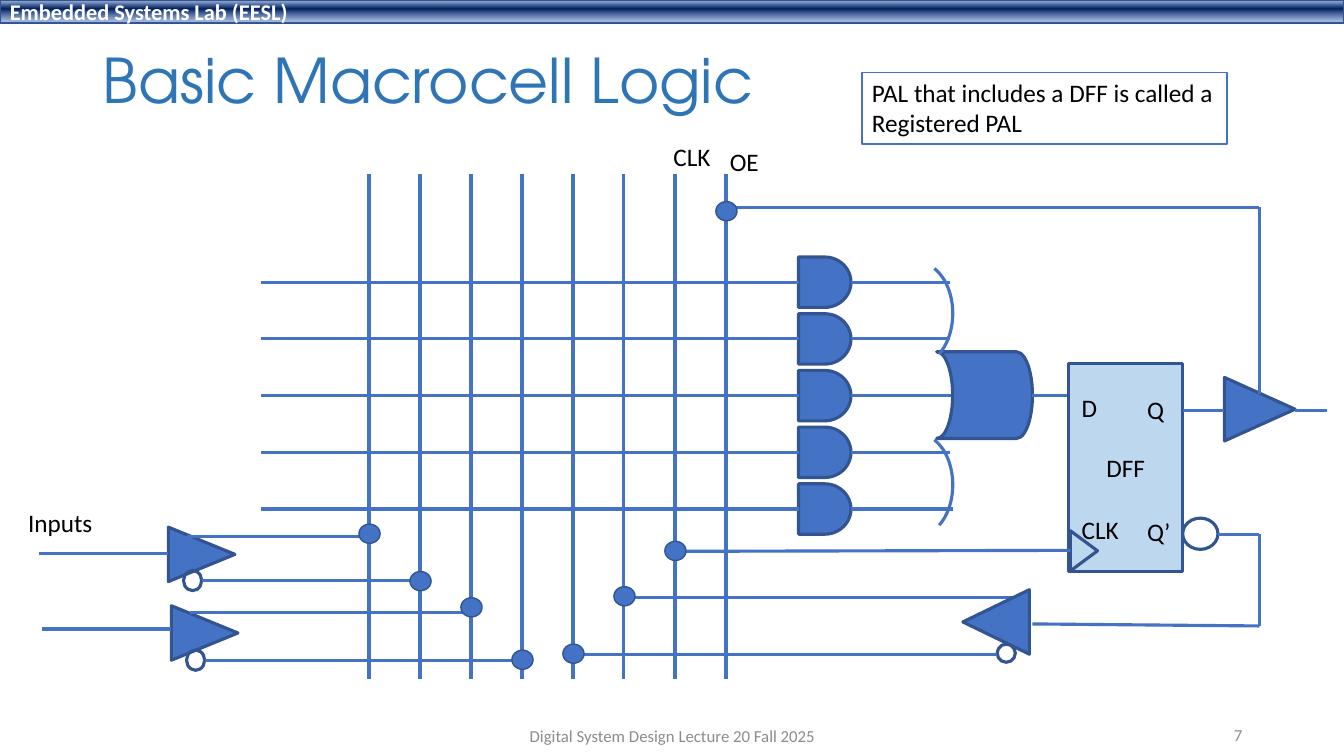
from copy import deepcopy

from lxml import etree
from pptx import Presentation
from pptx import util as u
from pptx.dml import color
from pptx.enum import shapes, text
from pptx.oxml import ns

COLORS = {
    "wire": "4472C4", "edge": "325491", "title": "2E75B6", "block": "BDD7EE",
    "white": "FFFFFF", "black": "000000", "grey": "8C8C8C",
    "bar_top": "ABC0E4", "bar_mid": "002060", "bar_end": "7E9ED6",
}
SHAPE = shapes.MSO_SHAPE
ALIGN = text.PP_ALIGN
ANCHOR = text.MSO_ANCHOR

BUS_X = [3.66 + i * 3.54 / 7 for i in range(8)]
TERM_Y = [2.8 + i * 2.25 / 4 for i in range(5)]
DOTS = [(0, 5.3), (1, 5.77), (2, 6.03), (3, 6.55),
        (4, 6.49), (5, 5.92), (6, 5.47), (7, 2.1)]


def rgb(name):
    return color.RGBColor.from_string(COLORS[name])


def write(shape, lines, size=18, ink="black", font="Calibri", bold=False,
          align=ALIGN.LEFT, anchor=ANCHOR.TOP, wrap=True, gap=0, spacing=1.0):
    frame = shape.text_frame
    frame_format = {"word_wrap": wrap, "vertical_anchor": anchor,
                    "auto_size": text.MSO_AUTO_SIZE.NONE}
    for name, value in frame_format.items():
        setattr(frame, name, value)
    for index, line in enumerate(lines):
        para = frame.add_paragraph() if index else frame.paragraphs[0]
        para_format = {"alignment": align, "line_spacing": spacing,
                       "space_before": u.Pt(gap if index else 0)}
        for name, value in para_format.items():
            setattr(para, name, value)
        span = para.add_run()
        span.text = line
        span_format = {"name": font, "size": u.Pt(size), "bold": bold}
        for name, value in span_format.items():
            setattr(span.font, name, value)
        span.font.color.rgb = rgb(ink)


def add_label(page, at, lines, **style):
    box = page.shapes.add_textbox(*map(u.Inches, at))
    write(box, lines, **style)


def add_part(page, kind, at, fill=None, line="edge", width=2.25, turn=0):
    part = page.shapes.add_shape(kind, *map(u.Inches, at))
    part.shadow.inherit = False
    part.rotation = turn
    if fill:
        part.fill.solid()
        part.fill.fore_color.rgb = rgb(fill)
    else:
        part.fill.background()
    part.line.color.rgb = rgb(line)
    part.line.width = u.Pt(width)
    return part


def add_wire(page, *ends):
    wire = page.shapes.add_connector(
        shapes.MSO_CONNECTOR.STRAIGHT, *map(u.Inches, ends))
    wire.line.color.rgb = rgb("wire")
    wire.line.width = u.Pt(2.25)
    etree.SubElement(wire._element.spPr, ns.qn("a:effectLst"))
    return wire


def add_header(page):
    bar = add_part(page, SHAPE.RECTANGLE, (0, 0, 13.33, 0.23), width=1)
    bar.fill.gradient()
    bar.fill.gradient_angle = 270
    stop_list = next(bar._element.spPr.iter(ns.qn("a:gsLst")))
    stop_list.append(deepcopy(stop_list[-1]))
    stops = [(0.02, "bar_top"), (0.38, "bar_mid"), (0.93, "bar_end")]
    for stop, (position, name) in zip(bar.fill.gradient_stops, stops):
        stop.position = position
        stop.color.rgb = rgb(name)
    etree.SubElement(stop_list[-1][0], ns.qn("a:alpha"), val="64000")
    write(bar, ["Embedded Systems Lab (EESL)"], size=16, ink="white",
          bold=True, anchor=ANCHOR.MIDDLE)


def add_title(page):
    title = page.shapes.title
    frame = {"left": 0.92, "top": 0.4, "width": 11.5, "height": 0.86}
    for name, value in frame.items():
        setattr(title, name, u.Inches(value))
    write(title, ["Basic Macrocell Logic"], size=44, ink="title",
          font="TeX Gyre Adventor", anchor=ANCHOR.MIDDLE, spacing=0.9)


def add_and_array(page):
    for x in BUS_X:
        add_wire(page, x, 1.73, x, 6.74)
    for y, end in zip(TERM_Y, (9.42, 9.42, 9.44, 9.42, 9.45)):
        gate = add_part(page, SHAPE.FLOWCHART_DELAY,
                        (7.92, y - 0.25, 0.52, 0.5), "wire")
        add_wire(page, 2.59, y, 7.92, y).end_connect(gate, 1)
        add_wire(page, 8.44, y, end, y).begin_connect(gate, 3)


def add_or_gate(page):
    add_part(page, SHAPE.FLOWCHART_STORED_DATA, (9.29, 3.49, 0.95, 0.86),
             "wire", turn=180)
    for top in (2.61, 4.31):
        arc = add_part(page, SHAPE.ARC, (8.78, top, 0.67, 1), line="wire")
        arc.adjustments[0] = 173.31
        arc.adjustments[1] = 38.06
    add_wire(page, 10.24, 3.92, 10.6, 3.92)


def add_flip_flop(page):
    block = add_part(page, SHAPE.RECTANGLE, (10.6, 3.61, 1.13, 2.06), "block")
    write(block, ["DFF"], align=ALIGN.CENTER, anchor=ANCHOR.MIDDLE)
    add_part(page, SHAPE.ISOSCELES_TRIANGLE, (10.55, 5.33, 0.4, 0.27), turn=90)
    add_wire(page, 10.62, 5.46, BUS_X[6], 5.47)
    add_part(page, SHAPE.OVAL, (11.73, 5.14, 0.35, 0.31))
    add_label(page, (10.63, 3.84, 0.58, 1.62), ["D", "CLK"],
              wrap=False, gap=66)
    add_label(page, (11.28, 3.86, 0.44, 1.62), ["Q", "Q’"], gap=66)


def add_output(page):
    add_part(page, SHAPE.ISOSCELES_TRIANGLE, (12.18, 3.71, 0.63, 0.7),
             "wire", turn=90)
    add_wire(page, 11.73, 4.07, 12.14, 4.07)
    add_wire(page, 12.84, 4.07, 13.16, 4.07)
    add_wire(page, 12.49, 3.91, 12.49, 2.05)
    add_wire(page, 12.49, 2.06, 7.17, 2.06)


def add_feedback(page):
    add_wire(page, 12.08, 5.3, 12.49, 5.3)
    add_wire(page, 12.49, 5.3, 12.49, 6.21)
    add_wire(page, 12.49, 6.21, 10.24, 6.19)
    add_wire(page, 10.06, 5.93, BUS_X[5], 5.93)
    add_part(page, SHAPE.ISOSCELES_TRIANGLE, (9.56, 5.84, 0.64, 0.66),
             "wire", turn=270)
    add_part(page, SHAPE.OVAL, (9.89, 6.39, 0.18, 0.18))
    add_wire(page, 9.89, 6.49, BUS_X[4], 6.49)


def add_input_buffer(page, left, top, input_y, true_y, inverse_y, column):
    add_part(page, SHAPE.ISOSCELES_TRIANGLE, (left, top, 0.54, 0.66),
             "wire", turn=90)
    add_part(page, SHAPE.OVAL, (left + 0.09, inverse_y - 0.1, 0.18, 0.2))
    add_wire(page, left + 0.12, true_y, BUS_X[column], true_y)
    add_wire(page, left + 0.27, inverse_y, BUS_X[column + 1], inverse_y)
    add_wire(page, left - 0.06, input_y, left - 1.34, input_y)


def main():
    deck = Presentation()
    deck.slide_width = u.Inches(13.33)
    deck.slide_height = u.Inches(7.5)
    page = deck.slides.add_slide(deck.slide_layouts[5])

    # Header and title
    add_header(page)
    add_title(page)

    # Circuit
    add_and_array(page)
    add_or_gate(page)
    add_flip_flop(page)
    add_output(page)
    add_feedback(page)
    add_input_buffer(page, 1.73, 5.17, 5.49, 5.32, 5.76, 0)
    add_input_buffer(page, 1.76, 5.95, 6.24, 6.08, 6.55, 2)
    for column, y in DOTS:
        add_part(page, SHAPE.OVAL, (BUS_X[column] - 0.1, y - 0.1, 0.21, 0.19),
                 "wire", width=1)

    # Signal names and note
    add_label(page, (0.18, 4.98, 0.85, 0.4), ["Inputs"], wrap=False)
    add_label(page, (7.14, 1.4, 0.49, 0.4), ["OE"], wrap=False)
    add_label(page, (6.58, 1.35, 0.58, 0.4), ["CLK"], wrap=False)
    note = add_part(page, SHAPE.RECTANGLE, (8.55, 0.72, 3.62, 0.71),
                    "white", "wire", 1)
    write(note, ["PAL that includes a DFF is called a", "Registered PAL"],
          wrap=False)

    # Footer
    footer = {"size": 12, "ink": "grey", "anchor": ANCHOR.MIDDLE}
    add_label(page, (4.42, 7.1, 4.5, 0.4),
              ["Digital System Design Lecture 20 Fall 2025"],
              align=ALIGN.CENTER, **footer)
    add_label(page, (9.42, 7.09, 3, 0.4), ["7"], align=ALIGN.RIGHT, **footer)

    deck.save("out.pptx")


if __name__ == "__main__":
    main()
